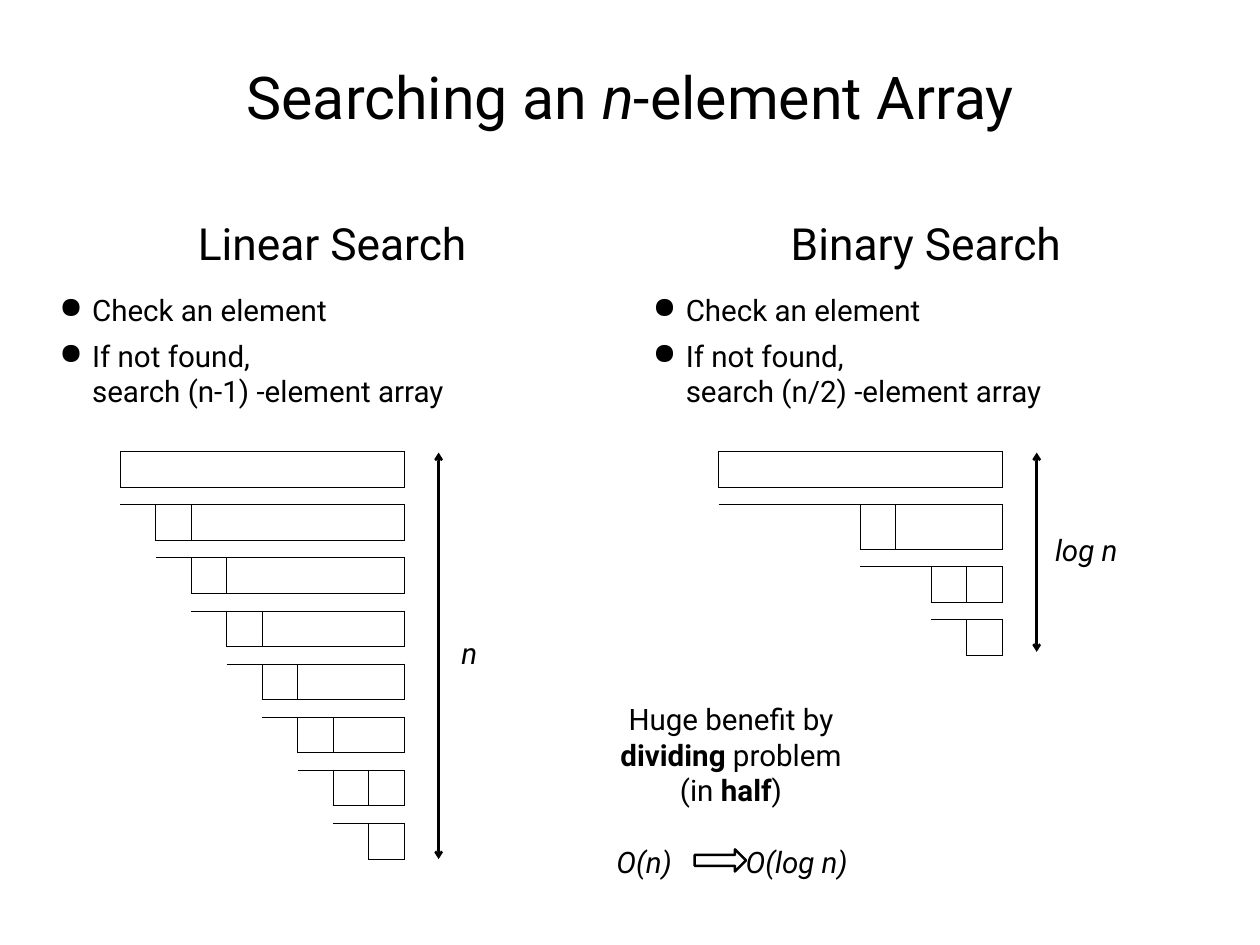
import pptx
import pptx.dml.color
import pptx.enum.shapes
import pptx.enum.text
import pptx.oxml.ns
import pptx.util
from lxml import etree
from pptx.util import Inches

BLACK = pptx.dml.color.RGBColor(0x00, 0x00, 0x00)
FONT_NAME = "Roboto"
NO_STYLE_NO_GRID = "{2D5ABB26-0587-4C30-8999-92F81FD0307C}"
CELL_SIZE = 0.4
GAP_HEIGHT = 0.2
COLUMN_COUNT = 8
TABLE_TOP = 5.1

ALIGN = pptx.enum.text.PP_ALIGN
ANCHOR = pptx.enum.text.MSO_ANCHOR


def add_xml(parent, tag, **attributes):
    return etree.SubElement(parent, pptx.oxml.ns.qn(tag), attributes)


def add_runs(paragraph, runs):
    """Add (text, style) runs; a newline in the text becomes a line break."""
    for text, style in runs:
        for index, line in enumerate(text.split("\n")):
            if index:
                paragraph.add_line_break()
            if line:
                run = paragraph.add_run()
                run.text = line
                if style == "bold":
                    run.font.bold = True
                elif style == "italic":
                    run.font.italic = True


def add_text(slide, box, paragraphs, size, align=ALIGN.CENTER,
             anchor=ANCHOR.TOP, bullets=False):
    """Write paragraphs, each a list of (text, style) runs, in a text box."""
    frame = slide.shapes.add_textbox(*map(Inches, box)).text_frame
    frame.word_wrap = True
    frame.vertical_anchor = anchor
    frame.margin_left = frame.margin_right = Inches(0.06)
    frame.margin_top = frame.margin_bottom = Inches(0.06)
    for index, runs in enumerate(paragraphs):
        paragraph = frame.add_paragraph() if index else frame.paragraphs[0]
        paragraph.alignment = align
        if bullets:
            if index:
                paragraph.space_before = pptx.util.Pt(8)
            properties = paragraph._p.get_or_add_pPr()
            properties.set("marL", str(Inches(0.37)))
            properties.set("indent", str(-Inches(0.37)))
            add_xml(properties, "a:buChar", char="●")
        paragraph.font.name = FONT_NAME
        paragraph.font.size = pptx.util.Pt(size)
        paragraph.font.color.rgb = BLACK
        add_runs(paragraph, runs)


def add_search_column(slide, left, name, next_size):
    add_text(slide, (left, 2.25, 6.28, 0.99), [[(name, None)]], 36,
             anchor=ANCHOR.MIDDLE)
    steps = ["Check an element",
             f"If not found,\nsearch ({next_size}) -element array"]
    add_text(slide, (left, 3.24, 6.4, 1.6), [[(step, None)] for step in steps],
             24, align=ALIGN.LEFT, bullets=True)


def format_cell(cell, borders):
    cell.margin_left = cell.margin_right = 0
    cell.margin_top = cell.margin_bottom = 0
    properties = cell._tc.get_or_add_tcPr()
    for side, visible in borders.items():
        if visible:
            line = add_xml(properties, f"a:ln{side}", w=str(pptx.util.Pt(1)))
            fill = add_xml(line, "a:solidFill")
            add_xml(fill, "a:srgbClr", val=str(BLACK))
    cell.fill.background()
    # A tiny font keeps the empty cell from stretching its row
    add_xml(cell.text_frame.paragraphs[0]._p, "a:endParaRPr", sz="100")


def add_array_table(slide, left, first_columns, bar_heights):
    """Draw shrinking arrays: each bar runs from its first column to the last."""
    row_heights = []
    for height in bar_heights:
        row_heights += [height, GAP_HEIGHT]
    row_heights.pop()

    def in_array(row, column):
        return (0 <= row < len(row_heights) and row % 2 == 0
                and first_columns[row // 2] <= column < COLUMN_COUNT)

    table = slide.shapes.add_table(
        len(row_heights), COLUMN_COUNT, Inches(left), Inches(TABLE_TOP),
        Inches(CELL_SIZE * COLUMN_COUNT), Inches(sum(row_heights))).table
    table.first_row = table.horz_banding = False
    style = table._tbl.tblPr.find(pptx.oxml.ns.qn("a:tableStyleId"))
    style.text = NO_STYLE_NO_GRID
    for column in table.columns:
        column.width = Inches(CELL_SIZE)
    for row, height in enumerate(row_heights):
        table.rows[row].height = Inches(height)
        for column in range(COLUMN_COUNT):
            inside = in_array(row, column)
            format_cell(table.cell(row, column), {
                "L": inside != in_array(row, column - 1),
                "R": inside != in_array(row, column + 1),
                "T": inside != in_array(row - 1, column),
                "B": inside != in_array(row + 1, column),
            })


def add_height_arrow(slide, x, bottom):
    arrow = slide.shapes.add_connector(
        pptx.enum.shapes.MSO_CONNECTOR.STRAIGHT,
        Inches(x), Inches(5.11), Inches(x), Inches(bottom))
    arrow.line.color.rgb = BLACK
    arrow.line.width = pptx.util.Pt(2)
    line = arrow.line._get_or_add_ln()
    add_xml(line, "a:headEnd", type="arrow")
    add_xml(line, "a:tailEnd", type="arrow")
    add_xml(arrow._element.spPr, "a:effectLst")


def add_block_arrow(slide, box):
    arrow = slide.shapes.add_shape(
        pptx.enum.shapes.MSO_SHAPE.RIGHT_ARROW, *map(Inches, box))
    arrow.shadow.inherit = False
    arrow.fill.background()
    arrow.line.color.rgb = BLACK
    arrow.line.width = pptx.util.Pt(2)


def add_italic_label(slide, box, text):
    add_text(slide, box, [[(text, "italic")]], 24)


def main():
    presentation = pptx.Presentation()
    presentation.slide_width = Inches(14.22)
    presentation.slide_height = Inches(10.67)
    slide = presentation.slides.add_slide(presentation.slide_layouts[6])

    title = [("Searching an ", None), ("n", "italic"), ("-element Array", None)]
    add_text(slide, (1.03, 0.25, 12.17, 1.67), [title], 48,
             anchor=ANCHOR.MIDDLE)
    add_search_column(slide, 0.61, "Linear Search", "n-1")
    add_search_column(slide, 7.31, "Binary Search", "n/2")

    add_array_table(slide, 1.36, range(COLUMN_COUNT),
                    [CELL_SIZE] * COLUMN_COUNT)
    add_array_table(slide, 8.11, (0, 4, 6, 7), [0.4, 0.5, 0.4, 0.4])
    add_height_arrow(slide, 4.95, 9.7)
    add_italic_label(slide, (5.1, 7.11, 0.39, 0.5), "n")
    add_height_arrow(slide, 11.7, 7.36)
    add_italic_label(slide, (11.76, 5.95, 1, 0.5), "log n")

    benefit = [
        [("Huge benefit by\n", None), ("dividing", "bold"), (" problem", None)],
        [("(in ", None), ("half", "bold"), (")", None)],
    ]
    add_text(slide, (6.75, 7.86, 3, 1.35), benefit, 24)
    add_italic_label(slide, (6.77, 9.47, 1, 0.5), "O(n)")
    add_italic_label(slide, (8.24, 9.47, 1.5, 0.5), "O(log n)")
    add_block_arrow(slide, (7.84, 9.59, 0.58, 0.25))

    presentation.save("out.pptx")


if __name__ == "__main__":
    main()
